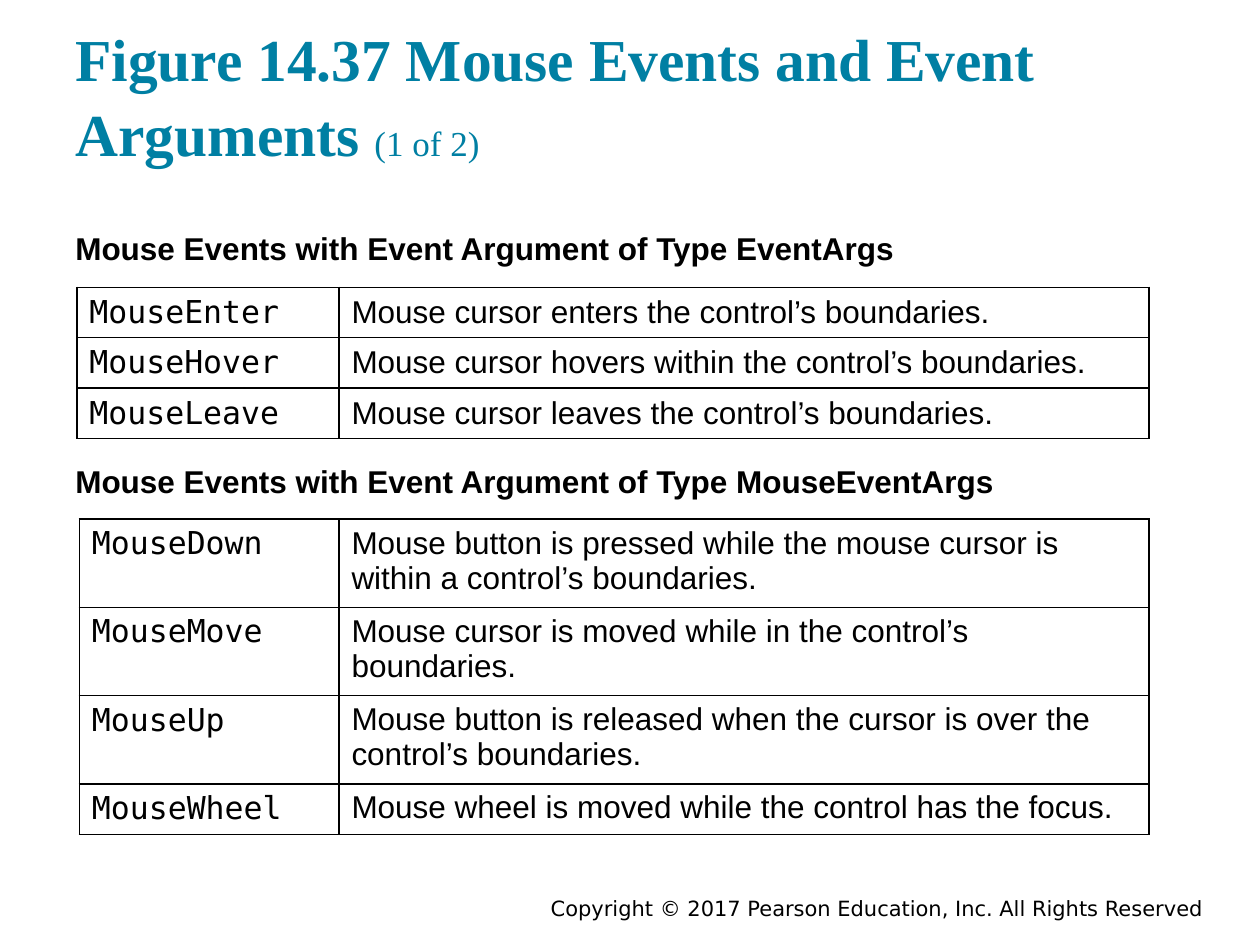
from dataclasses import dataclass

from lxml.etree import SubElement
from pptx import Presentation
from pptx.dml.color import RGBColor
from pptx.enum.text import MSO_ANCHOR as Anchor, MSO_AUTO_SIZE as AutoSize, PP_ALIGN as Align
from pptx.oxml.ns import qn
from pptx.util import Inches, Pt

BLACK = RGBColor(0x00, 0x00, 0x00)
TEAL = RGBColor(0x00, 0x7F, 0xA3)
SANS, MONO, SERIF = "Arial", "DejaVu Sans Mono", "Times New Roman"
GRID_UNIT = Inches(0.1)
GRID_COLUMNS, GRID_ROWS = 100, 75
ONE_LINE, TWO_LINES = 3.9, 6.6


@dataclass(frozen=True)
class Area:
    column: float
    row: float
    columns: float
    rows: float

    def lengths(self) -> list[int]:
        return [round(n * GRID_UNIT) for n in (self.column, self.row, self.columns, self.rows)]


@dataclass(frozen=True)
class MouseEvent:
    name: str
    description: str
    height: float = ONE_LINE


@dataclass(frozen=True)
class EventGroup:
    heading: str
    heading_area: Area
    left: float
    top: float
    name_columns: float
    anchor: Anchor
    events: tuple[MouseEvent, ...]


DESCRIPTION_COLUMNS = 64.3
GROUPS = (
    EventGroup(
        "Mouse Events with Event Argument of Type EventArgs",
        Area(5, 17.2, 90, 4.4), 6.1, 22.8, 20.8, Anchor.MIDDLE,
        (
            MouseEvent("MouseEnter", "Mouse cursor enters the control’s boundaries."),
            MouseEvent("MouseHover", "Mouse cursor hovers within the control’s boundaries."),
            MouseEvent("MouseLeave", "Mouse cursor leaves the control’s boundaries."),
        ),
    ),
    EventGroup(
        "Mouse Events with Event Argument of Type MouseEventArgs",
        Area(5, 35.7, 90, 4.9), 6.3, 41.2, 20.6, Anchor.TOP,
        (
            MouseEvent("MouseDown", "Mouse button is pressed while the mouse cursor is "
                       "within a control’s boundaries.", TWO_LINES),
            MouseEvent("MouseMove", "Mouse cursor is moved while in the control’s boundaries.", TWO_LINES),
            MouseEvent("MouseUp", "Mouse button is released when the cursor is over "
                       "the control’s boundaries.", TWO_LINES),
            MouseEvent("MouseWheel", "Mouse wheel is moved while the control has the focus."),
        ),
    ),
)


def style(font, name: str, size: float, color: RGBColor = BLACK, bold: bool = False) -> None:
    font.name, font.size, font.bold = name, Pt(size), bold
    font.color.rgb = color


def set_insets(frame, inset: int = Inches(0.1)) -> None:
    frame.margin_left = frame.margin_right = frame.margin_top = frame.margin_bottom = inset


def fill_title(title) -> None:
    title.left, title.top, title.width, title.height = Area(5, 2.4, 90, 12).lengths()
    frame = title.text_frame
    frame.auto_size, frame.vertical_anchor = AutoSize.NONE, Anchor.BOTTOM
    frame.word_wrap = True
    set_insets(frame)
    line = frame.paragraphs[0]
    line.alignment, line.line_spacing = Align.LEFT, 1.05
    for words, size, bold in (("Figure 14.37 Mouse Events and Event Arguments ", 34, True),
                              ("(1 of 2)", 20, False)):
        run = line.add_run()
        run.text = words
        style(run.font, SERIF, size, TEAL, bold)


def add_line(slide, words: str, area: Area):
    frame = slide.shapes.add_textbox(*area.lengths()).text_frame
    frame.word_wrap = True
    frame.text = words
    return frame


def add_borders(cell) -> None:
    properties = cell._tc.get_or_add_tcPr()
    for side in ("a:lnL", "a:lnR", "a:lnT", "a:lnB"):
        border = SubElement(properties, qn(side), w=str(Pt(1)))
        SubElement(SubElement(border, qn("a:solidFill")), qn("a:srgbClr"), val=str(BLACK))


def add_event_group(slide, group: EventGroup) -> None:
    heading = add_line(slide, group.heading, group.heading_area)
    set_insets(heading)
    style(heading.paragraphs[0].font, SANS, 18, bold=True)

    widths = (group.name_columns, DESCRIPTION_COLUMNS)
    area = Area(group.left, group.top, sum(widths), sum(e.height for e in group.events))
    table = slide.shapes.add_table(len(group.events), len(widths), *area.lengths()).table
    table.first_row = table.horz_banding = False
    for column, width in zip(table.columns, widths):
        column.width = round(width * GRID_UNIT)
    for row, event in zip(table.rows, group.events):
        row.height = round(event.height * GRID_UNIT)
        for cell, words, font in zip(row.cells, (event.name, event.description), (MONO, SANS)):
            cell.text = words
            cell.vertical_anchor = group.anchor
            style(cell.text_frame.paragraphs[0].font, font, 18)
            add_borders(cell)
            cell.fill.background()


def add_copyright(slide) -> None:
    frame = add_line(slide, "Copyright © 2017 Pearson Education, Inc. All Rights Reserved",
                     Area(30, 70.8, 66.5, 2.5))
    frame.vertical_anchor = Anchor.MIDDLE
    frame.paragraphs[0].alignment = Align.RIGHT
    style(frame.paragraphs[0].font, "DejaVu Sans", 12)


def main() -> None:
    deck = Presentation()
    deck.slide_width, deck.slide_height = GRID_COLUMNS * GRID_UNIT, GRID_ROWS * GRID_UNIT
    slide = deck.slides.add_slide(deck.slide_layouts.get_by_name("Title Only"))
    fill_title(slide.shapes.title)
    for group in GROUPS:
        add_event_group(slide, group)
    add_copyright(slide)
    deck.save("out.pptx")


if __name__ == "__main__":
    main()
